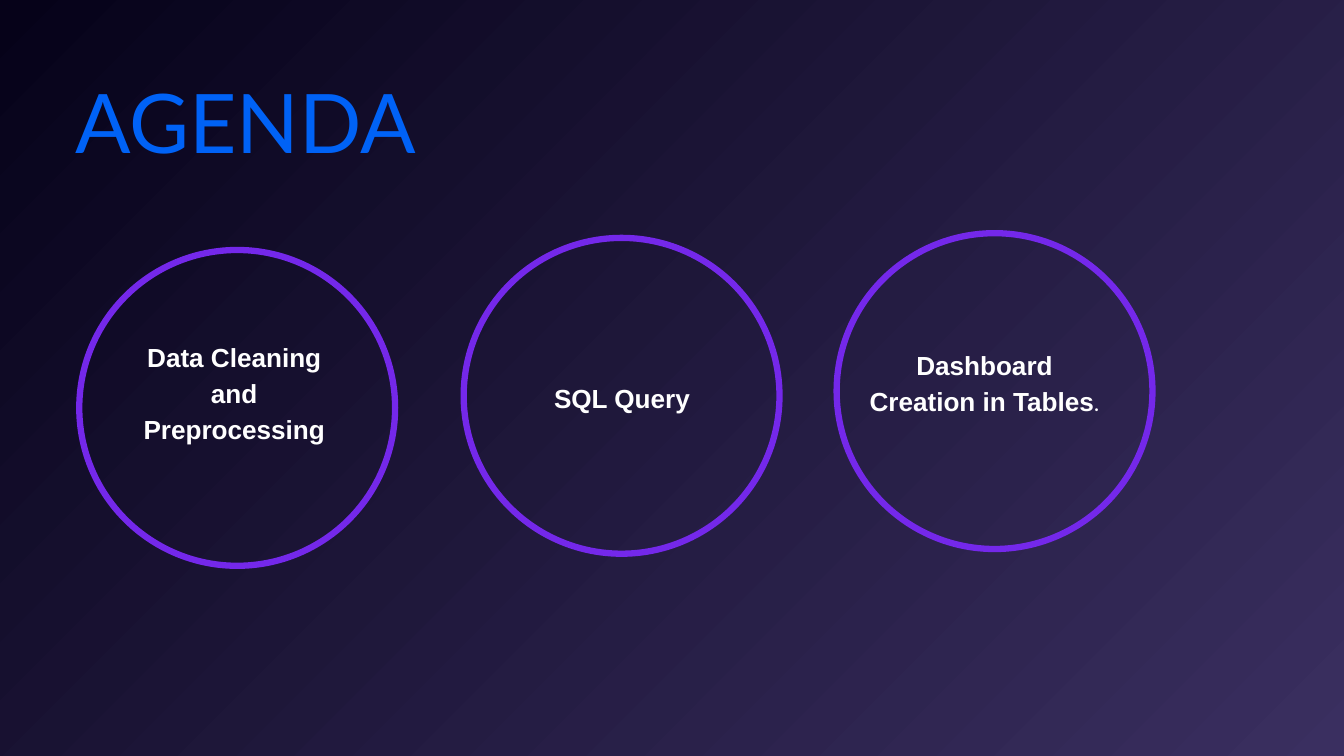
import pptx
import pptx.dml.color
import pptx.enum.shapes
import pptx.enum.text
import pptx.util
from pptx.util import Inches

BLUE = pptx.dml.color.RGBColor(0x00, 0x62, 0xF6)
PURPLE = pptx.dml.color.RGBColor(0x74, 0x28, 0xEA)
WHITE = pptx.dml.color.RGBColor(0xFF, 0xFF, 0xFF)
NIGHT = pptx.dml.color.RGBColor(0x06, 0x02, 0x19)
PLUM = pptx.dml.color.RGBColor(0x3A, 0x2F, 0x60)

CENTER = pptx.enum.text.PP_ALIGN.CENTER
LEFT = pptx.enum.text.PP_ALIGN.LEFT
CIRCLE_SIZE = 4.7

presentation = pptx.Presentation()
presentation.slide_width = Inches(20)
presentation.slide_height = Inches(11.25)
slide = presentation.slides.add_slide(presentation.slide_layouts[6])


def add_text(text, left, top, width, height, *, size=28, font="Arial",
             color=WHITE, bold=True, align=CENTER, spacing=1.15):
    """Add a one-paragraph text box and return its paragraph."""
    box = slide.shapes.add_textbox(Inches(left), Inches(top), Inches(width), Inches(height))
    frame = box.text_frame
    frame.word_wrap = True
    frame.margin_left = frame.margin_right = 0
    frame.margin_top = frame.margin_bottom = 0
    paragraph = frame.paragraphs[0]
    paragraph.alignment = align
    paragraph.line_spacing = spacing
    paragraph.font.size = pptx.util.Pt(size)
    run = paragraph.add_run()
    run.text = text
    run.font.name = font
    run.font.size = pptx.util.Pt(size)
    run.font.bold = bold
    run.font.color.rgb = color
    return paragraph


# Background: diagonal gradient from the top left corner
background = slide.background.fill
background.gradient()
background.gradient_angle = 315
for stop, color in zip(background.gradient_stops, (NIGHT, PLUM)):
    stop.color.rgb = color

# Title
add_text("AGENDA", 1.12, 0.47, 5.62, 1.65, size=88, font="Lato",
         color=BLUE, bold=False, align=LEFT, spacing=1.4)

# Agenda items: circle position, then label text and box
agenda = [
    ((1.18, 3.72), "Data Cleaning and Preprocessing", (1.9, 5.01, 3.17, 1.63)),
    ((6.9, 3.54), "SQL Query", (7.67, 5.62, 3.17, 0.54)),
    ((12.45, 3.47), "Dashboard Creation in Tables", (12.9, 5.13, 3.5, 1.08)),
]
for (left, top), label, label_box in agenda:
    circle = slide.shapes.add_shape(
        pptx.enum.shapes.MSO_SHAPE.OVAL, Inches(left), Inches(top),
        Inches(CIRCLE_SIZE), Inches(CIRCLE_SIZE))
    circle.shadow.inherit = False
    circle.fill.background()
    circle.line.color.rgb = PURPLE
    circle.line.width = pptx.util.Pt(6.75)
    paragraph = add_text(label, *label_box)

# Lighter full stop after the last item
full_stop = paragraph.add_run()
full_stop.text = "."
full_stop.font.name = "Montserrat"
full_stop.font.size = pptx.util.Pt(28)
full_stop.font.bold = False
full_stop.font.color.rgb = WHITE

presentation.save("out.pptx")
